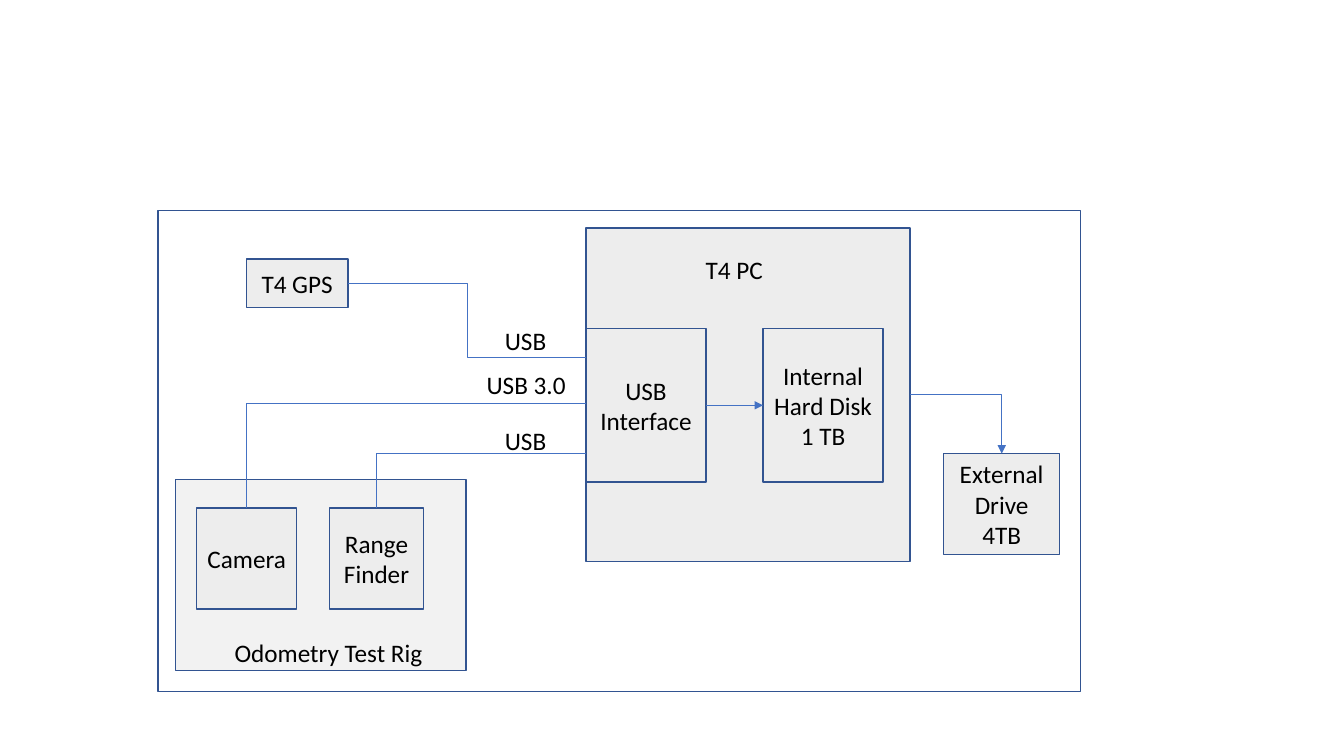
"""Build the block diagram of the T4 recording system."""
from lxml import etree
from pptx import Presentation
from pptx.dml.color import RGBColor
from pptx.enum import shapes, text
from pptx.oxml.ns import qn
from pptx.util import Pt

COLORS = {"box": "EDEDED", "rig": "F2F2F2", "border": "325491",
          "wire": "4472C4", "text": "000000"}


def color(name):
    """Return the named colour."""
    return RGBColor.from_string(COLORS[name])


def write(frame, words, align):
    """Put one 18 pt paragraph into a text frame."""
    paragraph = frame.paragraphs[0]
    paragraph.text = words
    paragraph.alignment = align
    paragraph.font.size = Pt(18)
    paragraph.font.name = "Calibri"
    paragraph.font.color.rgb = color("text")


def add_box(slide, left, top, width, height, words="", fill="box"):
    """Add a bordered rectangle, with centred words if given."""
    shape = slide.shapes.add_shape(shapes.MSO_SHAPE.RECTANGLE,
                                   Pt(left), Pt(top), Pt(width), Pt(height))
    shape.shadow.inherit = False
    if fill:
        shape.fill.solid()
        shape.fill.fore_color.rgb = color(fill)
    else:
        shape.fill.background()
    shape.line.color.rgb = color("border")
    shape.line.width = Pt(1)
    if words:
        shape.text_frame.word_wrap = True
        shape.text_frame.vertical_anchor = text.MSO_ANCHOR.MIDDLE
        write(shape.text_frame, words, text.PP_ALIGN.CENTER)
    return shape


def add_label(slide, left, top, width, words, wrap=True):
    """Add a left-aligned line of text."""
    label = slide.shapes.add_textbox(Pt(left), Pt(top), Pt(width), Pt(29))
    label.text_frame.word_wrap = wrap
    label.text_frame.auto_size = text.MSO_AUTO_SIZE.SHAPE_TO_FIT_TEXT
    write(label.text_frame, words, text.PP_ALIGN.LEFT)


def add_wire(slide, start, end, preset="bentConnector2", arrow=False):
    """Add a thin connector between two points."""
    wire = slide.shapes.add_connector(shapes.MSO_CONNECTOR.ELBOW, *start, *end)
    wire.line.color.rgb = color("wire")
    wire.line.width = Pt(0.5)
    properties = wire._element.spPr
    properties.find(qn("a:prstGeom")).set("prst", preset)
    if arrow:
        etree.SubElement(properties.find(qn("a:ln")), qn("a:tailEnd"), type="triangle")
    etree.SubElement(properties, qn("a:effectLst"))


def middle(shape):
    """Return the vertical middle of a shape."""
    return shape.top + shape.height // 2


def center(shape):
    """Return the horizontal centre of a shape."""
    return shape.left + shape.width // 2


def right(shape):
    """Return the right edge of a shape."""
    return shape.left + shape.width


def main():
    """Draw the devices, their wires and the labels."""
    presentation = Presentation()
    presentation.slide_width, presentation.slide_height = Pt(960), Pt(540)
    slide = presentation.slides.add_slide(presentation.slide_layouts[6])

    add_box(slide, 113, 150.5, 659, 343.5, fill=None)
    add_box(slide, 125.5, 342.5, 207.5, 136.5, fill="rig")
    camera = add_box(slide, 140.5, 363, 71.5, 72, "Camera")
    finder = add_box(slide, 235.5, 363, 67, 72, "Range Finder")
    computer = add_box(slide, 418.5, 163, 231.5, 238)
    gps = add_box(slide, 176, 185, 72.5, 34.5, "T4 GPS")
    disk = add_box(slide, 545, 234.75, 85.8, 109.5, "Internal Hard Disk 1 TB")
    usb = add_box(slide, 418.5, 234.75, 85.8, 109.5, "USB Interface")
    drive = add_box(slide, 674, 324, 83, 72, "External Drive 4TB")

    add_wire(slide, (right(gps), middle(gps)), (usb.left, Pt(255)), "bentConnector3")
    add_wire(slide, (usb.left, Pt(288)), (center(camera), camera.top))
    add_wire(slide, (usb.left, Pt(324)), (center(finder), finder.top))
    add_wire(slide, (right(usb), middle(usb)), (disk.left, middle(disk)), "line", True)
    add_wire(slide, (right(computer), middle(computer)), (center(drive), drive.top),
             arrow=True)

    add_label(slide, 353.5, 229, 49, "USB")
    add_label(slide, 340.5, 260, 80.5, "USB 3.0")
    add_label(slide, 353.5, 300.5, 45, "USB", wrap=False)
    add_label(slide, 497, 178, 80.5, "T4 PC")
    add_label(slide, 160.5, 452, 150, "Odometry Test Rig", wrap=False)

    presentation.save("out.pptx")


main()
